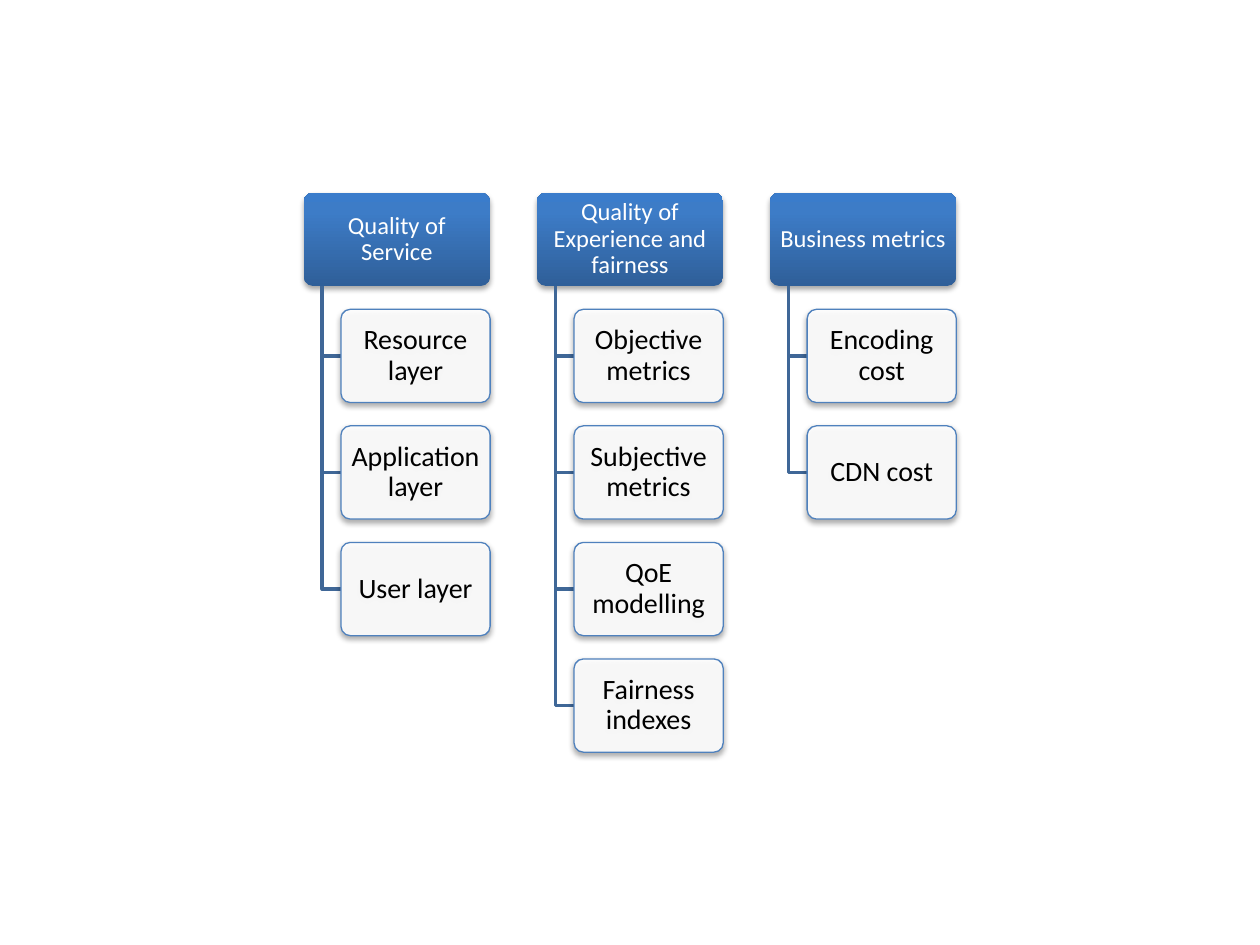
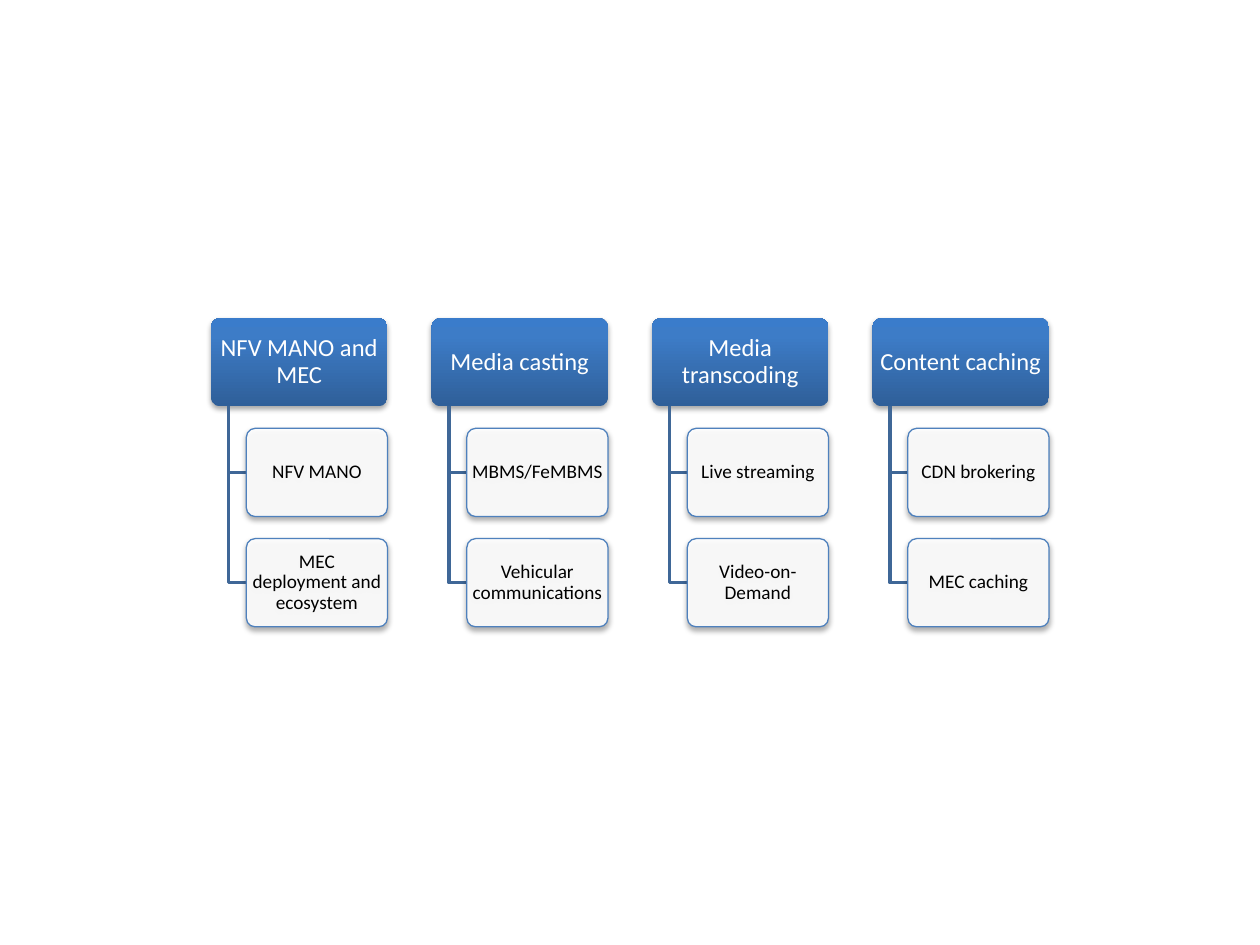
from pptx import Presentation
from pptx.dml.color import RGBColor
from pptx.enum.shapes import MSO_SHAPE
from pptx.enum.text import MSO_ANCHOR, PP_ALIGN
from pptx.oxml import parse_xml
from pptx.oxml.ns import nsdecls, qn
from pptx.util import Inches, Pt

ROUNDED = MSO_SHAPE.ROUNDED_RECTANGLE
MIDDLE = MSO_ANCHOR.MIDDLE
CENTER = PP_ALIGN.CENTER

PAGE_WIDTH, PAGE_HEIGHT = 10, 7.5
BLANK_LAYOUT = 6

# Shared colours
WHITE, BLACK = "FFFFFF", "000000"
CONNECTOR_BLUE, BORDER_BLUE = "3F6797", "4F81BD"
HEADER_GRADIENT = [(0, "2F5F99"), (80, "3D7CC7"), (100, "3A7CCB")]

# Each column is a heading followed by its items
QUALITY_COLUMNS = [
    ("Quality of Service", ["Resource layer", "Application layer", "User layer"]),
    ("Quality of Experience and fairness",
     ["Objective metrics", "Subjective metrics", "QoE modelling", "Fairness indexes"]),
    ("Business metrics", ["Encoding cost", "CDN cost"]),
]
NETWORK_COLUMNS = [
    ("NFV MANO and MEC", ["NFV MANO", "MEC deployment and ecosystem"]),
    ("Media casting", ["MBMS/FeMBMS", "Vehicular communications"]),
    ("Media transcoding", ["Live streaming", "Video-on-Demand"]),
    ("Content caching", ["CDN brokering", "MEC caching"]),
]


def color(hex_value):
    return RGBColor.from_string(hex_value)


def write_text(shape, text, size=14, ink=BLACK, font="Calibri", side_inset=0.03):
    frame = shape.text_frame
    frame.word_wrap = True
    frame.vertical_anchor = MIDDLE
    frame.margin_left = frame.margin_right = Inches(side_inset)
    frame.margin_top = frame.margin_bottom = Inches(0.02)
    para = frame.paragraphs[0]
    para.alignment = CENTER
    para.line_spacing = 0.9
    span = para.add_run()
    span.text = text
    span.font.name = font
    span.font.size = Pt(size)
    span.font.color.rgb = color(ink)


class HierarchyDeck:
    """Holds the deck, the current page and the style of its elements."""

    def __init__(self):
        self.deck = Presentation()
        self.deck.slide_width = Inches(PAGE_WIDTH)
        self.deck.slide_height = Inches(PAGE_HEIGHT)
        self.group = None

    def new_page(self):
        page = self.deck.slides.add_slide(self.deck.slide_layouts[BLANK_LAYOUT])
        self.group = page.shapes.add_group_shape()

    def rounded_box(self, left, top, width, height):
        box = self.group.shapes.add_shape(
            ROUNDED, Inches(left), Inches(top), Inches(width), Inches(height))
        box.adjustments[0] = 0.1
        return box

    def add_shadow(self, box):
        box._element.spPr.append(parse_xml(
            f'<a:effectLst {nsdecls("a")}>'
            '<a:outerShdw blurRad="40000" dist="23000" dir="5400000" rotWithShape="0">'
            f'<a:srgbClr val="{BLACK}"><a:alpha val="35000"/></a:srgbClr>'
            '</a:outerShdw></a:effectLst>'))

    def header_box(self, text, left, top, width, height, **text_format):
        box = self.rounded_box(left, top, width, height)
        box.line.fill.background()
        stops = "".join(
            f'<a:gs pos="{position * 1000}"><a:srgbClr val="{shade}"/></a:gs>'
            for position, shade in HEADER_GRADIENT)
        box._element.spPr.find(qn("a:prstGeom")).addnext(parse_xml(
            f'<a:gradFill {nsdecls("a")} rotWithShape="1"><a:gsLst>{stops}</a:gsLst>'
            '<a:lin ang="16200000" scaled="0"/></a:gradFill>'))
        self.add_shadow(box)
        write_text(box, text, ink=WHITE, **text_format)

    def item_box(self, text, left, top, width, height, **text_format):
        box = self.rounded_box(left, top, width, height)
        box.fill.solid()
        box.fill.fore_color.rgb = color(WHITE)
        fill_color = box._element.spPr.find(qn("a:solidFill"))[0]
        fill_color.append(parse_xml(f'<a:alpha {nsdecls("a")} val="90000"/>'))
        box.line.color.rgb = color(BORDER_BLUE)
        box.line.width = Pt(0.75)
        self.add_shadow(box)
        write_text(box, text, **text_format)

    def elbow(self, left, top, right, bottom):
        builder = self.group.shapes.build_freeform(Inches(left), Inches(top))
        builder.add_line_segments(
            [(Inches(left), Inches(bottom)), (Inches(right), Inches(bottom))], close=False)
        line = builder.convert_to_shape()
        line.shadow.inherit = False
        line.fill.background()
        line.line.color.rgb = color(CONNECTOR_BLUE)
        line.line.width = Pt(2)

    def hierarchy(self, columns, width, item_size, side_inset):
        """Centre the columns on the page; all spacing follows the box width."""
        height = width / 2
        column_step, row_step = width * 1.25, height * 1.25
        indent = width * 0.2
        most_items = max(len(items) for _, items in columns)
        first_left = (PAGE_WIDTH - (len(columns) - 1) * column_step - width) / 2
        top = (PAGE_HEIGHT - most_items * row_step - height) / 2

        for column, (heading, items) in enumerate(columns):
            left = first_left + column * column_step
            self.header_box(heading, left, top, width, height, side_inset=side_inset)
            for row, item in enumerate(items, start=1):
                item_top = top + row * row_step
                self.elbow(left + indent / 2, top + height,
                           left + indent, item_top + height / 2)
                self.item_box(item, left + indent, item_top, width - indent, height,
                              size=item_size, side_inset=side_inset)


def main():
    builder = HierarchyDeck()

    # Quality and business metrics
    builder.new_page()
    builder.hierarchy(QUALITY_COLUMNS, width=1.48, item_size=16, side_inset=0.04)

    # Network and media functions
    builder.new_page()
    builder.hierarchy(NETWORK_COLUMNS, width=1.4, item_size=11, side_inset=0.01)

    builder.deck.save("out.pptx")


if __name__ == "__main__":
    main()
